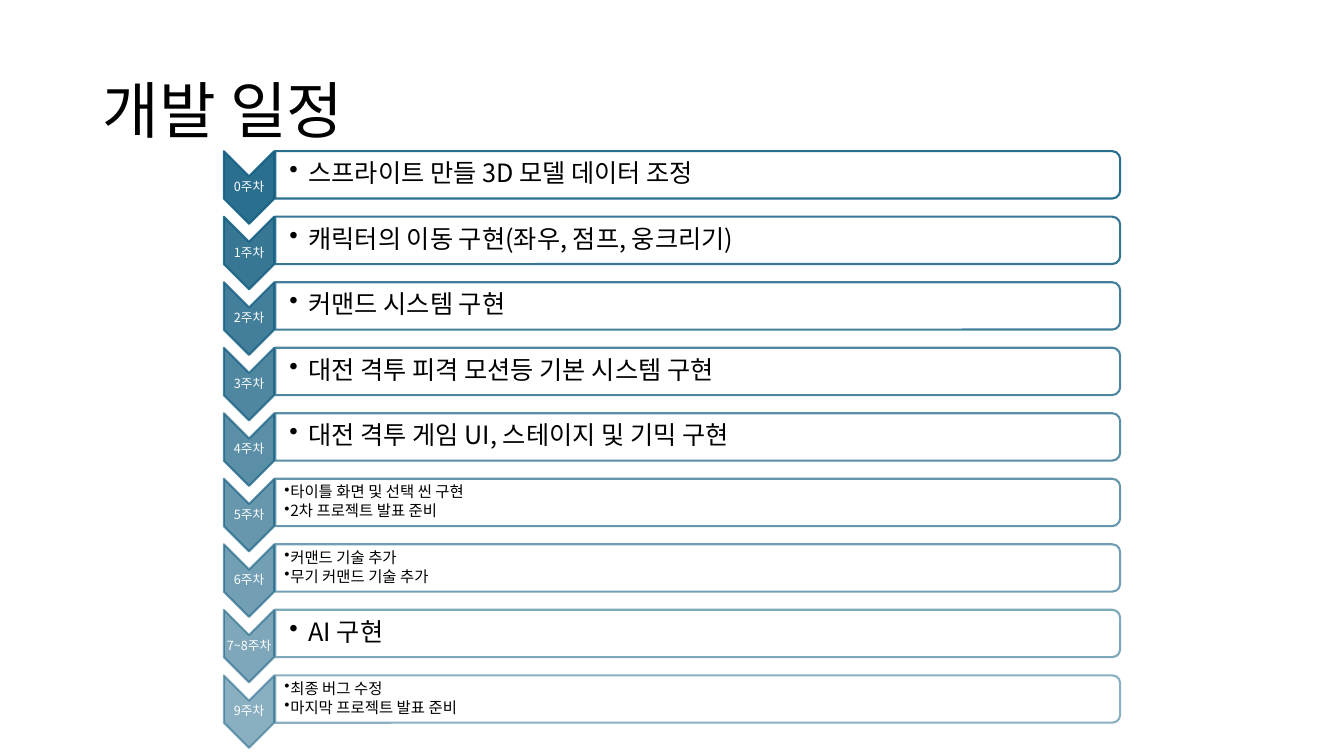
from pptx import Presentation
from pptx.dml.color import RGBColor
from pptx.enum.shapes import MSO_SHAPE
from pptx.enum.text import MSO_ANCHOR, MSO_AUTO_SIZE, PP_ALIGN
from pptx.oxml.ns import qn
from pptx.util import Inches, Pt
from lxml.etree import SubElement

FONT = "Noto Sans CJK KR"
COLORS = {"teal": "156082", "white": "FFFFFF", "black": "000000"}
SCHEDULE = [
    ("0주차", ["스프라이트 만들 3D 모델 데이터 조정"]),
    ("1주차", ["캐릭터의 이동 구현(좌우, 점프, 웅크리기)"]),
    ("2주차", ["커맨드 시스템 구현"]),
    ("3주차", ["대전 격투 피격 모션등 기본 시스템 구현"]),
    ("4주차", ["대전 격투 게임 UI, 스테이지 및 기믹 구현"]),
    ("5주차", ["타이틀 화면 및 선택 씬 구현", "2차 프로젝트 발표 준비"]),
    ("6주차", ["커맨드 기술 추가", "무기 커맨드 기술 추가"]),
    ("7~8주차", ["AI 구현"]),
    ("9주차", ["최종 버그 수정", "마지막 프로젝트 발표 준비"]),
]
ROW_TOP, ROW_STEP = 1.5, 0.65
MARKER_LEFT, MARKER_WIDTH, MARKER_HEIGHT = 2.22, 0.5, 0.72
BAR_LEFT, BAR_WIDTH, BAR_HEIGHT = 2.73, 8.38, 0.47


def add_turned_shape(kind, box, fill, fill_alpha, line_alpha):
    """Add a preset turned by 90 degrees that covers box (left, top, width, height)."""
    left, top, width, height = box
    shape = slide.shapes.add_shape(
        kind, Inches(left + (width - height) / 2), Inches(top + (height - width) / 2),
        Inches(height), Inches(width))
    shape.rotation = 90
    shape.shadow.inherit = False
    shape.fill.solid()
    shape.fill.fore_color.rgb = RGBColor.from_string(COLORS[fill])
    shape.line.color.rgb = RGBColor.from_string(COLORS["teal"])
    shape.line.width = Pt(1.5)
    colors = shape.element.spPr.iter(qn("a:srgbClr"))
    for color, alpha in zip(list(colors), (fill_alpha, line_alpha)):
        SubElement(color, qn("a:alpha"), val=str(alpha * 1000))


def add_text(frame, lines, size, color, align=PP_ALIGN.LEFT, indent=0, after=0):
    """Write lines as paragraphs, bulleted when indent is given."""
    frame.word_wrap = True
    frame.auto_size = MSO_AUTO_SIZE.NONE
    frame.vertical_anchor = MSO_ANCHOR.MIDDLE
    for index, line in enumerate(lines):
        paragraph = frame.add_paragraph() if index else frame.paragraphs[0]
        if indent:
            paragraph.level = 1
            properties = paragraph._p.get_or_add_pPr()
            properties.set("marL", str(Inches(indent)))
            properties.set("indent", str(-Inches(indent)))
            SubElement(properties, qn("a:buChar"), char="•")
        paragraph.alignment = align
        paragraph.line_spacing = 0.9
        paragraph.space_before = Pt(0)
        paragraph.space_after = Pt(after)
        run = paragraph.add_run()
        run.text = line
        run.font.size = Pt(size)
        run.font.name = FONT
        run.font.color.rgb = RGBColor.from_string(COLORS[color])
        SubElement(run._r.get_or_add_rPr(), qn("a:ea"), typeface=FONT)


presentation = Presentation()
presentation.slide_width = Inches(13.33)
presentation.slide_height = Inches(7.5)
slide = presentation.slides.add_slide(presentation.slide_layouts[5])

title = slide.shapes.title
title.left, title.top = Inches(0.92), Inches(0.4)
title.width, title.height = Inches(11.5), Inches(1.45)
add_text(title.text_frame, ["개발 일정"], 44, "black")

for row, (week, tasks) in enumerate(SCHEDULE):
    top = ROW_TOP + row * ROW_STEP
    alpha = 90 - 5 * row
    single = len(tasks) == 1

    add_turned_shape(MSO_SHAPE.CHEVRON, (MARKER_LEFT, top, MARKER_WIDTH, MARKER_HEIGHT),
                     "teal", alpha, alpha)
    week_box = slide.shapes.add_textbox(
        Inches(MARKER_LEFT), Inches(top + 0.25), Inches(MARKER_WIDTH), Inches(0.22))
    add_turned_shape(MSO_SHAPE.ROUND_2_SAME_RECTANGLE, (BAR_LEFT, top, BAR_WIDTH, BAR_HEIGHT),
                     "white", 90, alpha)
    task_box = slide.shapes.add_textbox(
        Inches(BAR_LEFT), Inches(top + 0.02), Inches(8.36), Inches(0.42))

    for box in (week_box, task_box):
        frame = box.text_frame
        frame.margin_left = frame.margin_right = Inches(0.01)
        frame.margin_top = frame.margin_bottom = Inches(0.01)
    task_box.text_frame.margin_left = Inches(0.14 if single else 0.09)

    add_text(week_box.text_frame, [week], 9, "white", PP_ALIGN.CENTER, after=3)
    add_text(task_box.text_frame, tasks, 18 if single else 11, "black",
             indent=0.19 if single else 0.06, after=2.7 if single else 1.65)

presentation.save("out.pptx")
